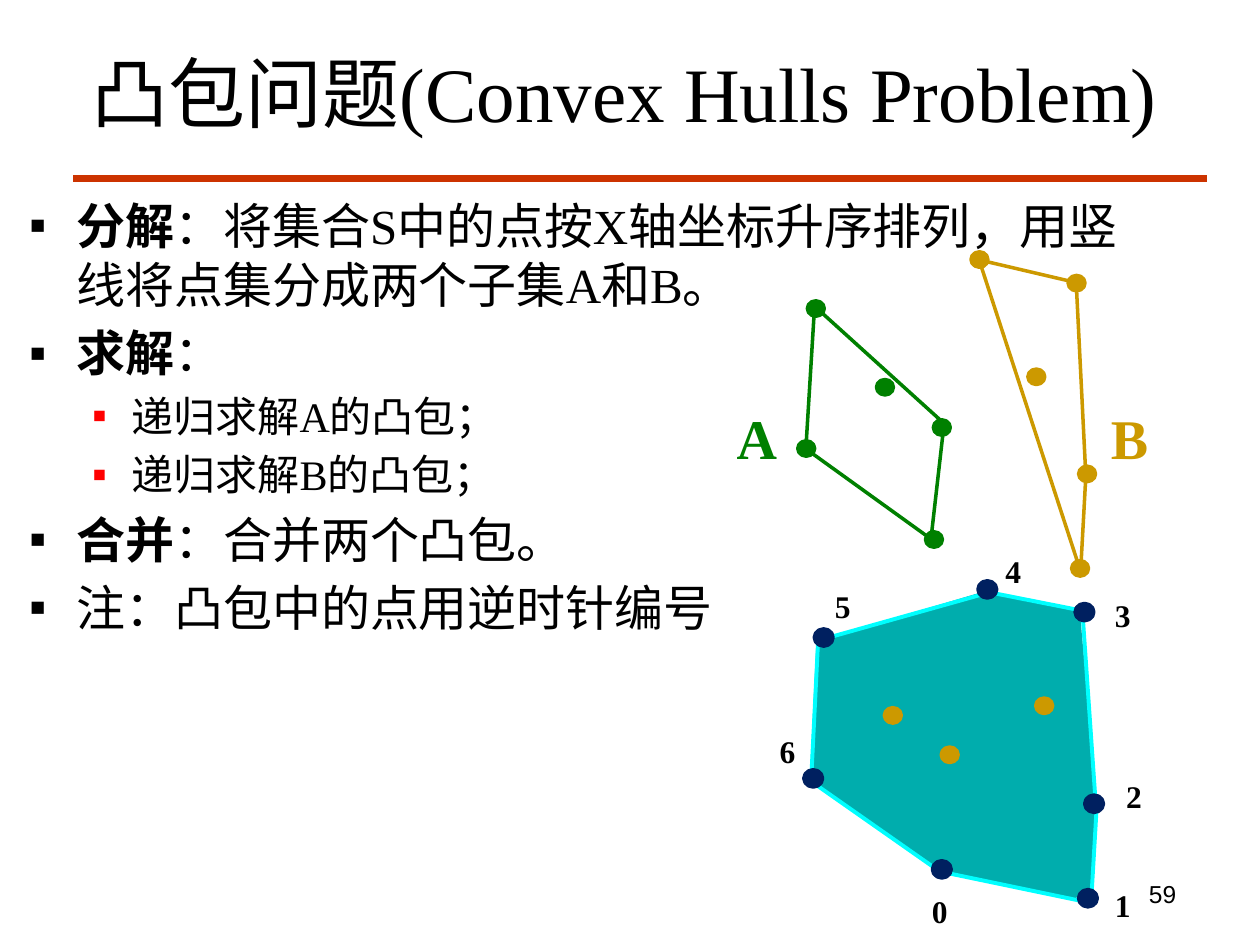
from lxml.etree import SubElement
from pptx import Presentation
from pptx.dml.color import RGBColor
from pptx.enum.shapes import MSO_CONNECTOR as Connector, MSO_SHAPE as Shape
from pptx.enum.text import MSO_ANCHOR as Anchor, MSO_AUTO_SIZE as AutoSize, PP_ALIGN as Align
from pptx.oxml.ns import qn
from pptx.util import Pt

SERIF = "Times New Roman"
BLACK, RED, RULE = "000000", "FF0000", "CC3300"
GREEN, GOLD, NAVY = "008000", "CC9900", "002060"
TEAL, CYAN = "00ADAD", "00FFFF"
DOT_WIDTH, DOT_HEIGHT = 9.4, 8.6

BODY = [
    (0, [("分解", True), ("：将集合S中的点按X轴坐标升序排列，用竖线将点集分成两个子集A和B。", False)]),
    (0, [("求解", True), ("：", False)]),
    (1, [("递归求解A的凸包；", False)]),
    (1, [("递归求解B的凸包；", False)]),
    (0, [("合并", True), ("：合并两个凸包。", False)]),
    (0, [("注：凸包中的点用逆时针编号", False)]),
]
LEVELS = [
    {"size": 28, "margin": 27, "indent": -27, "bullet": BLACK},
    {"size": 24, "margin": 58.5, "indent": -22.5, "bullet": RED},
]

A_DOTS = [(461.5, 172), (456, 252), (529, 304), (501, 217), (533.5, 240)]
A_HULL = [(465.5, 175), (460.5, 256.5), (532, 308), (539.5, 242)]
B_DOTS = [(555, 144), (587.5, 211), (610.5, 157.5), (616.5, 266.5), (612.5, 320.5)]
B_HULL = [(559.5, 148.5), (617.5, 326.5), (620.5, 272), (615, 161.5)]
MERGED_AREA = [
    (564, 337.5), (471.5, 365), (466.5, 368), (463, 440.5), (466, 448.5),
    (468.5, 450.5), (534, 496), (542, 499), (613.5, 514), (623.5, 507),
    (627, 461), (626.5, 453.5), (617, 349),
]
MERGED_HULL = [(565.5, 338.5), (467.5, 366), (463.5, 446.5), (537, 498),
               (623.5, 516), (626.5, 464.5), (618.5, 349)]
INNER_DOTS = [(538, 427), (592, 399), (505.5, 404.5)]
HULL_DOTS = [(533.5, 492.5), (617, 509), (620.5, 455), (615, 345.5),
             (559.5, 332.5), (466, 360), (460, 440.5)]
NUMBER_SPOTS = [(525.5, 506), (630, 502.5), (636.5, 440.5), (630, 337),
                (567.5, 312), (470, 332), (438.5, 414.5)]


def color(value):
    return RGBColor.from_string(value)


def place(box, left, top, width, height):
    box.left, box.top, box.width, box.height = Pt(left), Pt(top), Pt(width), Pt(height)


def add_span(para, text, size, shade=BLACK, bold=False, font=SERIF):
    span = para.add_run()
    span.text = text
    span.font.name = font
    span.font.size = Pt(size)
    span.font.bold = bold
    span.font.color.rgb = color(shade)


def add_label(page, text, area, size, shade=BLACK, bold=True, font=SERIF, align=Align.LEFT):
    box = page.shapes.add_textbox(*map(Pt, area))
    box.text_frame.word_wrap = True
    para = box.text_frame.paragraphs[0]
    para.alignment = align
    add_span(para, text, size, shade, bold, font)


def add_line(page, start, end, shade, width):
    line = page.shapes.add_connector(Connector.STRAIGHT, *map(Pt, start + end))
    line.line.color.rgb = color(shade)
    line.line.width = Pt(width)
    SubElement(line._element.spPr, qn("a:effectLst"))


def add_loop(page, points, shade, width):
    for start, end in zip(points, points[1:] + points[:1]):
        add_line(page, start, end, shade, width)


def add_dots(page, corners, shade, width=2.25):
    for left, top in corners:
        dot = page.shapes.add_shape(Shape.OVAL, Pt(left), Pt(top), Pt(DOT_WIDTH), Pt(DOT_HEIGHT))
        dot.shadow.inherit = False
        dot.fill.solid()
        dot.fill.fore_color.rgb = color(shade)
        dot.line.color.rgb = color(shade)
        dot.line.width = Pt(width)


def add_area(page, points, shade):
    corners = [(Pt(x), Pt(y)) for x, y in points]
    builder = page.shapes.build_freeform(*corners[0])
    builder.add_line_segments(corners[1:], close=True)
    area = builder.convert_to_shape()
    area.shadow.inherit = False
    area.fill.solid()
    area.fill.fore_color.rgb = color(shade)
    area.line.fill.background()


def set_bullet(para, margin, indent, shade):
    props = para._p.get_or_add_pPr()
    props.set("marL", str(Pt(margin)))
    props.set("indent", str(Pt(indent)))
    SubElement(SubElement(props, qn("a:buClr")), qn("a:srgbClr"), val=shade)
    SubElement(props, qn("a:buFont"), typeface="Arial")
    SubElement(props, qn("a:buChar"), char="▪")


def fill_title(page):
    title = page.shapes.title
    place(title, 30, 24, 654, 57)
    frame = title.text_frame
    frame.auto_size = AutoSize.NONE
    frame.vertical_anchor = Anchor.MIDDLE
    para = frame.paragraphs[0]
    para.alignment = Align.CENTER
    add_span(para, "凸包问题(Convex Hulls Problem)", 44)


def fill_body(page):
    body = page.placeholders[1]
    place(body, 9.5, 108, 642, 275)
    frame = body.text_frame
    frame.auto_size = AutoSize.NONE
    for index, (level, spans) in enumerate(BODY):
        para = frame.add_paragraph() if index else frame.paragraphs[0]
        para.level = level
        style = LEVELS[level]
        set_bullet(para, style["margin"], style["indent"], style["bullet"])
        for text, bold in spans:
            add_span(para, text, style["size"], bold=bold)


def draw_subsets(page):
    add_dots(page, B_DOTS, GOLD)
    add_dots(page, A_DOTS, GREEN)
    add_loop(page, A_HULL, GREEN, 2)
    add_loop(page, B_HULL, GOLD, 2)
    for name, left, shade in (("A", 396, GREEN), ("B", 609, GOLD)):
        add_label(page, name, (left, 227, 73, 45), 32, shade, align=Align.CENTER)


def draw_merged_hull(page):
    add_area(page, MERGED_AREA, TEAL)
    add_dots(page, INNER_DOTS, GOLD)
    add_loop(page, MERGED_HULL, CYAN, 2.25)
    add_dots(page, HULL_DOTS, NAVY, 3.25)
    for number, spot in enumerate(NUMBER_SPOTS):
        add_label(page, str(number), spot + (22.5, 29), 18)


def main():
    deck = Presentation()
    deck.slide_width, deck.slide_height = Pt(720), Pt(540)
    page = deck.slides.add_slide(deck.slide_layouts[1])
    fill_title(page)
    fill_body(page)
    add_line(page, (42, 102), (690, 102), RULE, 4.5)
    add_label(page, "59", (649.5, 499, 47, 37.5), 14, bold=False, font="Arial")
    draw_subsets(page)
    draw_merged_hull(page)
    deck.save("out.pptx")


if __name__ == "__main__":
    main()
